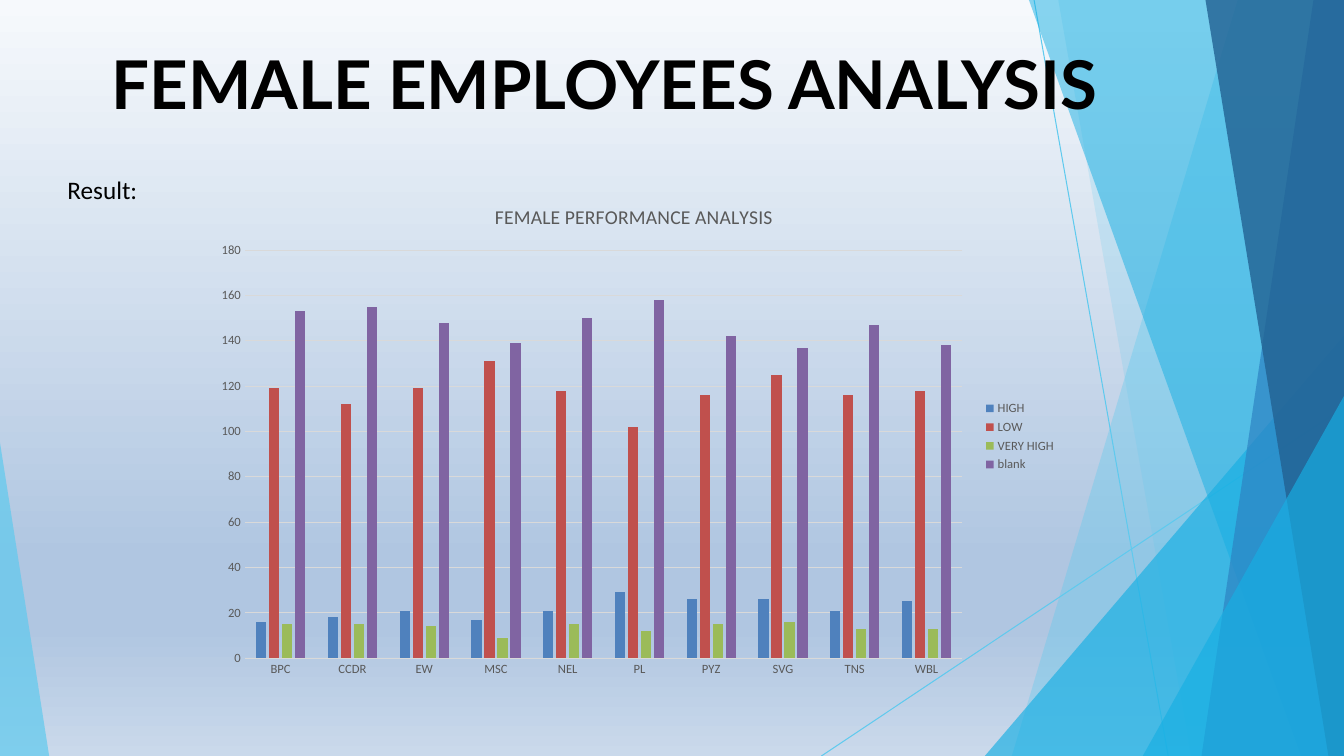
from lxml.etree import SubElement
from pptx import Presentation
from pptx.chart.data import CategoryChartData
from pptx.dml.color import RGBColor
from pptx.enum.chart import XL_CHART_TYPE, XL_LEGEND_POSITION, XL_TICK_MARK
from pptx.enum.shapes import MSO_CONNECTOR
from pptx.enum.text import MSO_ANCHOR, MSO_AUTO_SIZE, PP_ALIGN
from pptx.oxml.ns import qn
from pptx.util import Cm, Pt

WIDE, HIGH = 33.87, 19.05
BLACK = RGBColor(0x00, 0x00, 0x00)
GREY = RGBColor(0x59, 0x59, 0x59)
PALE = RGBColor(0xD9, 0xD9, 0xD9)
SKY = RGBColor(0x5F, 0xCA, 0xEE)
CYAN = RGBColor(0x17, 0xAF, 0xE3)
BLUE = RGBColor(0x2D, 0x83, 0xC3)
NAVY = RGBColor(0x22, 0x61, 0x92)

# Background stops: percent, colour
STOPS = [(0, RGBColor(0xF6, 0xF9, 0xFC)), (74, RGBColor(0xB0, 0xC6, 0xE1)),
         (83, RGBColor(0xB0, 0xC6, 0xE1)), (100, RGBColor(0xCA, 0xD9, 0xEB))]

# Thin lines: start and end in cm
LINES = [(26.06, 0, 29.44, HIGH), (WIDE, 10.26, 20.7, HIGH)]


def band(top, foot):
    """Outline from the right edge to a slanted left side."""
    return [(WIDE, 0), (top, 0), (foot, HIGH), (WIDE, HIGH)]


def wedge(rise, foot):
    """Triangle in the lower right corner."""
    return [(WIDE, rise), (foot, HIGH), (WIDE, HIGH)]


# Facets: outline, colour, opacity in percent
FACETS = [
    (band(31.19, 25.5), SKY, 36),
    (band(26.67, 30.02), SKY, 20),
    (wedge(8.46, 24.82), CYAN, 66),
    (band(25.93, 32.79), CYAN, 50),
    (band(33.1, 30.28), BLUE, 70),
    (band(30.38, 33.48), NAVY, 80),
    (wedge(9.98, 28.8), CYAN, 66),
    ([(0, 11.15), (0, HIGH), (1.24, HIGH)], SKY, 70),
]

UNITS = ["BPC", "CCDR", "EW", "MSC", "NEL", "PL", "PYZ", "SVG", "TNS", "WBL"]
SERIES = [
    ("HIGH", RGBColor(0x4F, 0x81, 0xBD),
     [16, 18, 21, 17, 21, 29, 26, 26, 21, 25]),
    ("LOW", RGBColor(0xC0, 0x50, 0x4D),
     [119, 112, 119, 131, 118, 102, 116, 125, 116, 118]),
    ("VERY HIGH", RGBColor(0x9B, 0xBB, 0x59),
     [15, 15, 14, 9, 15, 12, 15, 16, 13, 13]),
    ("blank", RGBColor(0x80, 0x64, 0xA2),
     [153, 155, 148, 139, 150, 158, 142, 137, 147, 138]),
]


def paint_back(slide):
    fill = slide.background.fill
    fill.gradient()
    fill.gradient_angle = 270
    stops = next(slide.element.iter(qn("a:gsLst")))
    for old in list(stops):
        stops.remove(old)
    for at, tone in STOPS:
        stop = SubElement(stops, qn("a:gs"), pos=str(at * 1000))
        SubElement(stop, qn("a:srgbClr"), val=str(tone))


def add_line(slide, x1, y1, x2, y2):
    line = slide.shapes.add_connector(
        MSO_CONNECTOR.STRAIGHT, Cm(x1), Cm(y1), Cm(x2), Cm(y2))
    line.line.color.rgb = SKY
    line.line.width = Pt(0.75)
    SubElement(line.element.spPr, qn("a:effectLst"))


def add_facet(slide, points, tone, alpha):
    spots = [(Cm(x), Cm(y)) for x, y in points]
    maker = slide.shapes.build_freeform(*spots[0])
    maker.add_line_segments(spots[1:], close=True)
    facet = maker.convert_to_shape()
    facet.shadow.inherit = False
    facet.line.fill.background()
    facet.fill.solid()
    facet.fill.fore_color.rgb = tone
    color = next(facet.element.spPr.iter(qn("a:srgbClr")))
    SubElement(color, qn("a:alpha"), val=str(alpha * 1000))


def style(font, face, size, tone, bold=False):
    font.name, font.size, font.bold = face, Pt(size), bold
    font.color.rgb = tone


def fill_holder(holder, box, text, face, size, bold=False, inset=0):
    holder.left, holder.top, holder.width, holder.height = map(Cm, box)
    frame = holder.text_frame
    frame.word_wrap = True
    frame.auto_size = MSO_AUTO_SIZE.NONE
    frame.vertical_anchor = MSO_ANCHOR.TOP
    frame.margin_left = Cm(inset)
    frame.margin_top = frame.margin_right = frame.margin_bottom = 0
    para = frame.paragraphs[0]
    para.alignment = PP_ALIGN.LEFT
    para.space_before = Pt(0)
    props = para._p.get_or_add_pPr()
    props.set("marL", "0")
    props.set("indent", "0")
    SubElement(props, qn("a:buNone"))
    run = para.add_run()
    run.text = text
    style(run.font, face, size, BLACK, bold)
    # Bring to the front
    holder.element.getparent().append(holder.element)


def style_axis(axis):
    axis.major_tick_mark = axis.minor_tick_mark = XL_TICK_MARK.NONE
    style(axis.tick_labels.font, "Calibri", 9, GREY)


def place_plot(chart, **parts):
    area = next(chart.element.iter(qn("c:plotArea")))
    for old in area.findall(qn("c:layout")):
        area.remove(old)
    layout = SubElement(area, qn("c:layout"))
    area.insert(0, layout)
    manual = SubElement(layout, qn("c:manualLayout"))
    SubElement(manual, qn("c:layoutTarget"), val="inner")
    for mode in ("xMode", "yMode"):
        SubElement(manual, qn("c:" + mode), val="edge")
    for name, part in parts.items():
        SubElement(manual, qn("c:" + name), val=str(part))


def add_bars(slide):
    data = CategoryChartData()
    data.categories = UNITS
    for name, _, vals in SERIES:
        data.add_series(name, vals)
    chart = slide.shapes.add_chart(
        XL_CHART_TYPE.COLUMN_CLUSTERED,
        Cm(5.08), Cm(4.65), Cm(21.79), Cm(12.7), data).chart
    style(chart.font, "Calibri", 10, BLACK)

    # Title and legend
    chart.has_title = True
    run = chart.chart_title.text_frame.paragraphs[0].add_run()
    run.text = "FEMALE PERFORMANCE ANALYSIS"
    style(run.font, "Calibri", 14, GREY)
    chart.has_legend = True
    chart.legend.position = XL_LEGEND_POSITION.RIGHT
    chart.legend.include_in_layout = False
    style(chart.legend.font, "Calibri", 9, GREY)

    # Columns
    plot = chart.plots[0]
    plot.gap_width, plot.overlap = 219, -27
    plot.vary_by_categories = False
    for bars, (_, tone, _) in zip(plot.series, SERIES):
        bars.format.fill.solid()
        bars.format.fill.fore_color.rgb = tone

    # Axes
    cat, val = chart.category_axis, chart.value_axis
    style_axis(cat)
    style_axis(val)
    val.minimum_scale, val.maximum_scale, val.major_unit = 0, 180, 20
    val.format.line.fill.background()
    for line in (cat.format.line, val.major_gridlines.format.line):
        line.color.rgb = PALE
        line.width = Pt(0.75)
    place_plot(chart, x=0.05, y=0.13, w=0.83, h=0.81)


def main():
    deck = Presentation()
    deck.slide_width, deck.slide_height = Cm(WIDE), Cm(HIGH)
    slide = deck.slides.add_slide(deck.slide_layouts[1])
    paint_back(slide)
    for ends in LINES:
        add_line(slide, *ends)
    for facet in FACETS:
        add_facet(slide, *facet)
    fill_holder(slide.shapes.title, (2.11, 1.07, 29.67, 2.11),
                "FEMALE EMPLOYEES ANALYSIS", "Lato", 48, True, 0.7)
    add_bars(slide)
    fill_holder(slide.placeholders[1], (1.7, 4.39, 30.48, 0.76),
                "Result:", "Calibri", 18)
    deck.save("out.pptx")


if __name__ == "__main__":
    main()
